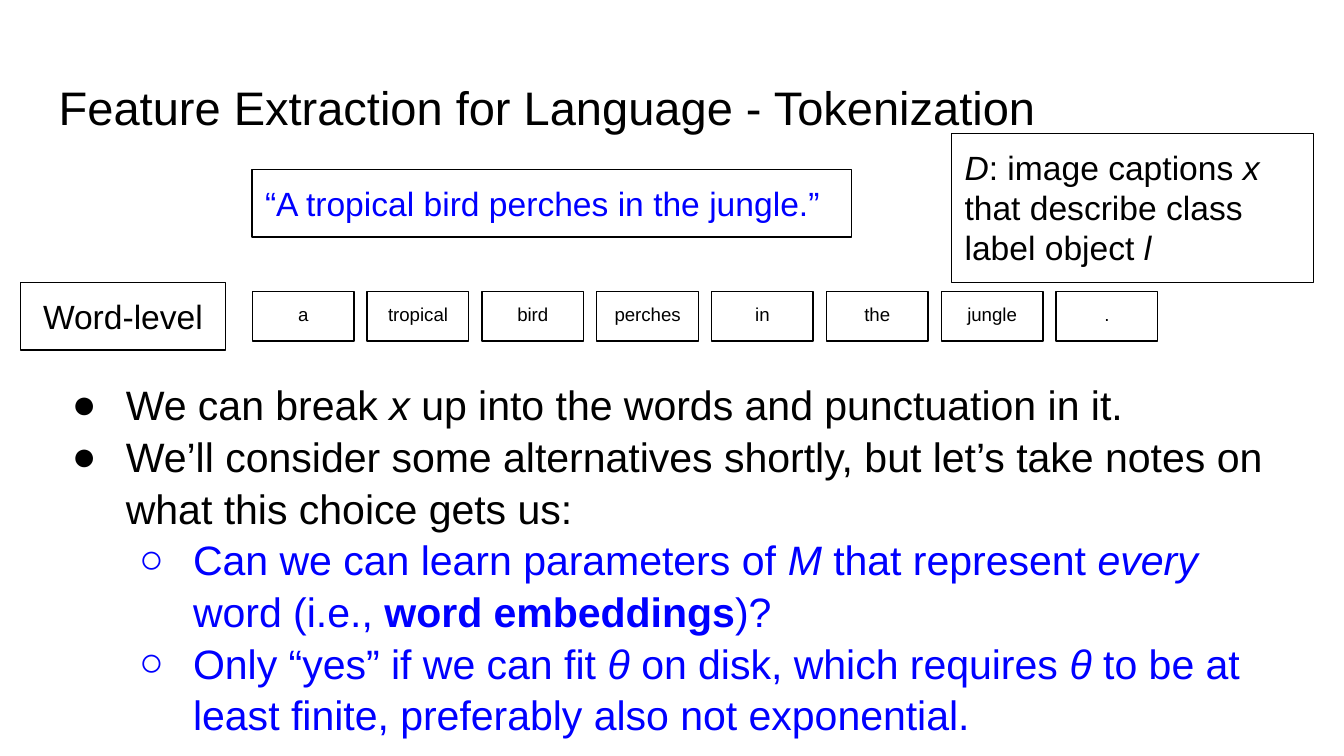
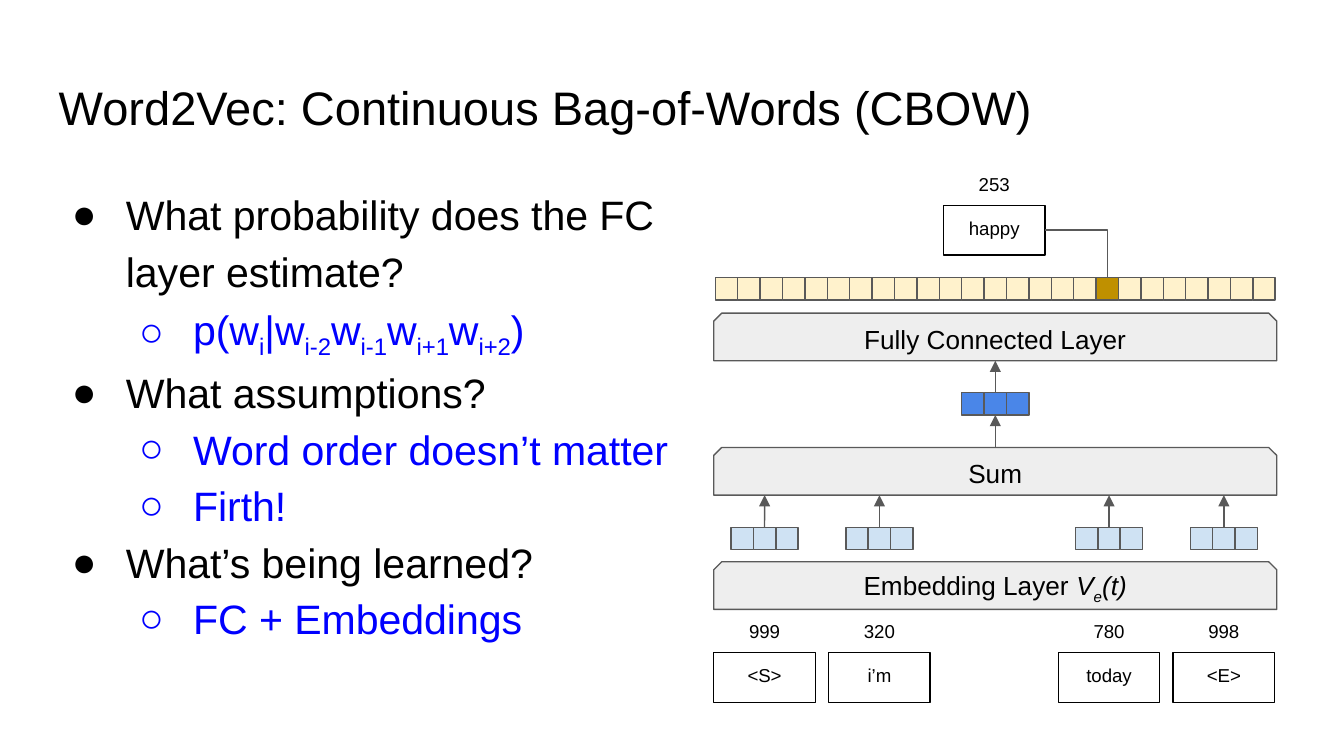
import dataclasses
import typing

import lxml.etree
import pptx
import pptx.dml.color
import pptx.enum.shapes
import pptx.enum.text
import pptx.oxml.ns
import pptx.util

Cm = pptx.util.Cm
SHAPES = pptx.enum.shapes.MSO_SHAPE
CONNECTORS = pptx.enum.shapes.MSO_CONNECTOR
ALIGN = pptx.enum.text.PP_ALIGN
ANCHOR = pptx.enum.text.MSO_ANCHOR
AUTO_SIZE = pptx.enum.text.MSO_AUTO_SIZE
qn = pptx.oxml.ns.qn


@dataclasses.dataclass(frozen=True)
class Theme:
    font: str = "Arial"
    ink: str = "000000"
    accent: str = "0000FF"
    outline: str = "595959"
    layer: str = "EEEEEE"
    embedding: str = "CFE2F3"
    hidden: str = "4A86E8"
    output: str = "FFF2CC"
    predicted: str = "BF9000"
    title_size: float = 25.2
    body_size: float = 22
    note_size: float = 18
    layer_size: float = 14
    token_size: float = 10
    line_width: float = 0.75
    inset: float = 0.25


class Box(typing.NamedTuple):
    """Left, top, width and height in centimetres."""
    left: float
    top: float
    width: float
    height: float

    def lengths(self):
        return [Cm(value) for value in self]


THEME = Theme()
SLIDE_SIZE = (25.4, 14.29)
TITLE_BOX = Box(0.86, 1.24, 23.67, 1.6)
TOKEN_SIZE = (1.92, 0.94)
TOKEN_PITCH = 2.17
ID_TO_TOKEN = 0.83
LAYER_HEIGHT = 0.9
CELL = 10.58 / 25

ITALIC = {"italic": True}
BOLD = {"bold": True}
SUBSCRIPT = {"baseline": -25000}


def rgb(colour):
    return pptx.dml.color.RGBColor.from_string(colour)


def apply(target, formats):
    for name, value in formats.items():
        setattr(target, name, value)


def add_runs(paragraph, runs, size, colour):
    """Each run is a string, or a pair of string and format values."""
    for item in runs:
        text, style = (item, {}) if isinstance(item, str) else item
        formats = dict(style)
        baseline = formats.pop("baseline", None)
        run = paragraph.add_run()
        run.text = text
        apply(run.font, {"name": THEME.font, "size": pptx.util.Pt(size), **formats})
        run.font.color.rgb = rgb(colour)
        if baseline:
            run._r.get_or_add_rPr().set("baseline", str(baseline))


def set_frame(frame, anchor=ANCHOR.TOP, auto_size=AUTO_SIZE.NONE):
    sides = ("left", "top", "right", "bottom")
    margins = {f"margin_{side}": Cm(THEME.inset) for side in sides}
    apply(frame, {"word_wrap": True, "auto_size": auto_size,
                  "vertical_anchor": anchor, **margins})


def add_outline(slide, preset, box, fill=None, line=THEME.ink):
    outline = slide.shapes.add_shape(preset, *box.lengths())
    outline.shadow.inherit = False
    if fill:
        outline.fill.solid()
        outline.fill.fore_color.rgb = rgb(fill)
    else:
        outline.fill.background()
    outline.line.color.rgb = rgb(line)
    outline.line.width = pptx.util.Pt(THEME.line_width)
    return outline


def add_label(slide, box, runs, size, colour=THEME.ink, align=ALIGN.CENTER, framed=True):
    if framed:
        label = add_outline(slide, SHAPES.RECTANGLE, box)
    else:
        label = slide.shapes.add_textbox(*box.lengths())
    set_frame(label.text_frame, auto_size=AUTO_SIZE.SHAPE_TO_FIT_TEXT)
    paragraph = label.text_frame.paragraphs[0]
    paragraph.alignment = align
    add_runs(paragraph, runs, size, colour)
    return label


def add_link(slide, kind, start, end, arrow=True):
    link = slide.shapes.add_connector(kind, *[Cm(value) for value in (*start, *end)])
    link.line.color.rgb = rgb(THEME.outline)
    link.line.width = pptx.util.Pt(THEME.line_width)
    if arrow:
        lxml.etree.SubElement(link.line._get_or_add_ln(), qn("a:tailEnd"), type="triangle")
    lxml.etree.SubElement(link._element.spPr, qn("a:effectLst"))
    return link


def add_titled_slide(deck, title):
    slide = deck.slides.add_slide(deck.slide_layouts[5])
    heading = slide.shapes.title
    apply(heading, dict(zip(("left", "top", "width", "height"), TITLE_BOX.lengths())))
    set_frame(heading.text_frame)
    paragraph = heading.text_frame.paragraphs[0]
    paragraph.alignment = ALIGN.LEFT
    add_runs(paragraph, [title], THEME.title_size, THEME.ink)
    return slide


def set_bullet(paragraph, level, colour):
    properties = paragraph._p.get_or_add_pPr()
    properties.set("marL", str(Cm(1.27 * (level + 1))))
    properties.set("indent", str(Cm(-1.02)))
    bullet_colour = lxml.etree.SubElement(properties, qn("a:buClr"))
    lxml.etree.SubElement(bullet_colour, qn("a:srgbClr"), val=colour)
    lxml.etree.SubElement(properties, qn("a:buFont"), typeface=THEME.font)
    lxml.etree.SubElement(properties, qn("a:buChar"), char="●○"[level])


def add_bullets(slide, box, points, line_spacing):
    """Points are pairs of level and runs; second-level points take the accent colour."""
    frame = slide.shapes.add_textbox(*box.lengths()).text_frame
    set_frame(frame)
    for index, (level, runs) in enumerate(points):
        paragraph = frame.add_paragraph() if index else frame.paragraphs[0]
        colour = THEME.accent if level else THEME.ink
        set_bullet(paragraph, level, colour)
        apply(paragraph, {"level": level, "line_spacing": line_spacing,
                          "alignment": ALIGN.LEFT})
        add_runs(paragraph, runs, THEME.body_size, colour)


def add_token(slide, left, top, word):
    return add_label(slide, Box(left, top, *TOKEN_SIZE), [word], THEME.token_size)


def add_numbered_token(slide, left, top, number, word):
    add_label(slide, Box(left, top, *TOKEN_SIZE), [number], THEME.token_size, framed=False)
    return add_token(slide, left, top + ID_TO_TOKEN, word)


def add_cells(slide, centre, top, count, fill):
    left = centre - count * CELL / 2
    return [add_outline(slide, SHAPES.RECTANGLE,
                        Box(left + index * CELL, top, CELL, CELL), fill, THEME.outline)
            for index in range(count)]


def add_layer(slide, box, runs):
    layer = add_outline(slide, SHAPES.SNIP_2_SAME_RECTANGLE, box, THEME.layer, THEME.outline)
    layer.adjustments[0] = 0.167
    layer.adjustments[1] = 0
    set_frame(layer.text_frame, ANCHOR.MIDDLE)
    paragraph = layer.text_frame.paragraphs[0]
    paragraph.alignment = ALIGN.CENTER
    add_runs(paragraph, runs, THEME.layer_size, THEME.ink)


def add_word_level_row(slide, box):
    add_label(slide, Box(box.left, box.top, 3.87, box.height), ["Word-level"], THEME.note_size)
    token_top = box.top + (box.height - TOKEN_SIZE[1]) / 2
    words = ["a", "tropical", "bird", "perches", "in", "the", "jungle", "."]
    for column, word in enumerate(words):
        add_token(slide, box.left + 4.38 + column * TOKEN_PITCH, token_top, word)


def add_cbow_diagram(slide, box):
    centre = box.left + box.width / 2
    output_top, fc_top, hidden_top, sum_top, vector_top, embedding_top, id_top = [
        box.top + offset for offset in (2.2, 2.87, 4.37, 5.41, 6.92, 7.57, 8.46)]
    layers = [
        (fc_top, ["Fully Connected Layer"]),
        (sum_top, ["Sum"]),
        (embedding_top, ["Embedding Layer ", ("V", ITALIC),
                         ("e", {**ITALIC, **SUBSCRIPT}), ("(t)", ITALIC)]),
    ]
    for top, runs in layers:
        add_layer(slide, Box(box.left, top, box.width, LAYER_HEIGHT), runs)

    context = [(0, "999", "<S>"), (1, "320", "i’m"), (3, "780", "today"), (4, "998", "<E>")]
    for column, number, word in context:
        left = box.left + column * TOKEN_PITCH
        add_numbered_token(slide, left, id_top, number, word)
        middle = left + TOKEN_SIZE[0] / 2
        vector = add_cells(slide, middle, vector_top, 3, THEME.embedding)
        arrow = add_link(slide, CONNECTORS.STRAIGHT, (middle, vector_top),
                         (middle, sum_top + LAYER_HEIGHT))
        arrow.begin_connect(vector[1], 0)

    hidden = add_cells(slide, centre, hidden_top, 3, THEME.hidden)
    into_hidden = add_link(slide, CONNECTORS.STRAIGHT, (centre, sum_top),
                           (centre, hidden_top + CELL))
    into_hidden.end_connect(hidden[1], 2)
    out_of_hidden = add_link(slide, CONNECTORS.STRAIGHT, (centre, hidden_top),
                             (centre, fc_top + LAYER_HEIGHT))
    out_of_hidden.begin_connect(hidden[1], 0)

    scores = add_cells(slide, centre, output_top, 25, THEME.output)
    predicted = scores[17]
    predicted.fill.fore_color.rgb = rgb(THEME.predicted)
    target_left = box.left + 2 * TOKEN_PITCH
    target = add_numbered_token(slide, target_left, box.top, "253", "happy")
    elbow = add_link(
        slide, CONNECTORS.ELBOW,
        (target_left + TOKEN_SIZE[0], box.top + ID_TO_TOKEN + TOKEN_SIZE[1] / 2),
        (centre + 5 * CELL, output_top), arrow=False)
    elbow._element.spPr.find(qn("a:prstGeom")).set("prst", "bentConnector2")
    elbow.begin_connect(target, 3)
    elbow.end_connect(predicted, 0)


def build_tokenization(deck):
    slide = add_titled_slide(deck, "Feature Extraction for Language - Tokenization")
    add_label(slide, Box(4.76, 3.2, 11.33, 1.28),
              ["“A tropical bird perches in the jungle.”"],
              THEME.note_size, THEME.accent, ALIGN.LEFT)
    add_word_level_row(slide, Box(0.39, 5.34, 21.49, 1.28))
    add_bullets(slide, Box(0.86, 6.88, 23.67, 7.41), [
        (0, ["We can break ", ("x", ITALIC), " up into the words and punctuation in it."]),
        (0, ["We’ll consider some alternatives shortly, but let’s take notes on "
             "what this choice gets us:"]),
        (1, ["Can we can learn parameters of ", ("M", ITALIC), " that represent ",
             ("every", ITALIC), " word (i.e., ", ("word embeddings", BOLD), ")?"]),
        (1, ["Only “yes” if we can fit ", ("θ", ITALIC), " on disk, which requires ",
             ("θ ", ITALIC), "to be at least finite, preferably also not exponential."]),
    ], 1.05)
    add_label(slide, Box(17.98, 2.52, 6.84, 2.82),
              [("D", ITALIC), ": image captions ", ("x", ITALIC),
               " that describe class label object ", ("l", ITALIC)],
              THEME.note_size, align=ALIGN.LEFT)


def build_cbow(deck):
    slide = add_titled_slide(deck, "Word2Vec: Continuous Bag-of-Words (CBOW)")
    probability = ["p(w", ("i", SUBSCRIPT), "|"]
    for position in ("i-2", "i-1", "i+1", "i+2"):
        probability += ["w", (position, SUBSCRIPT)]
    add_bullets(slide, Box(0.86, 3.2, 12.45, 11.08), [
        (0, ["What probability does the FC layer estimate?"]),
        (1, probability + [")"]),
        (0, ["What assumptions?"]),
        (1, ["Word order doesn’t matter"]),
        (1, ["Firth!"]),
        (0, ["What’s being learned?"]),
        (1, ["FC + Embeddings"]),
    ], 1.15)
    add_cbow_diagram(slide, Box(13.49, 3.05, 10.64, 10.23))


def main():
    deck = pptx.Presentation()
    deck.slide_width, deck.slide_height = [Cm(value) for value in SLIDE_SIZE]
    build_tokenization(deck)
    build_cbow(deck)
    deck.save("out.pptx")


if __name__ == "__main__":
    main()
